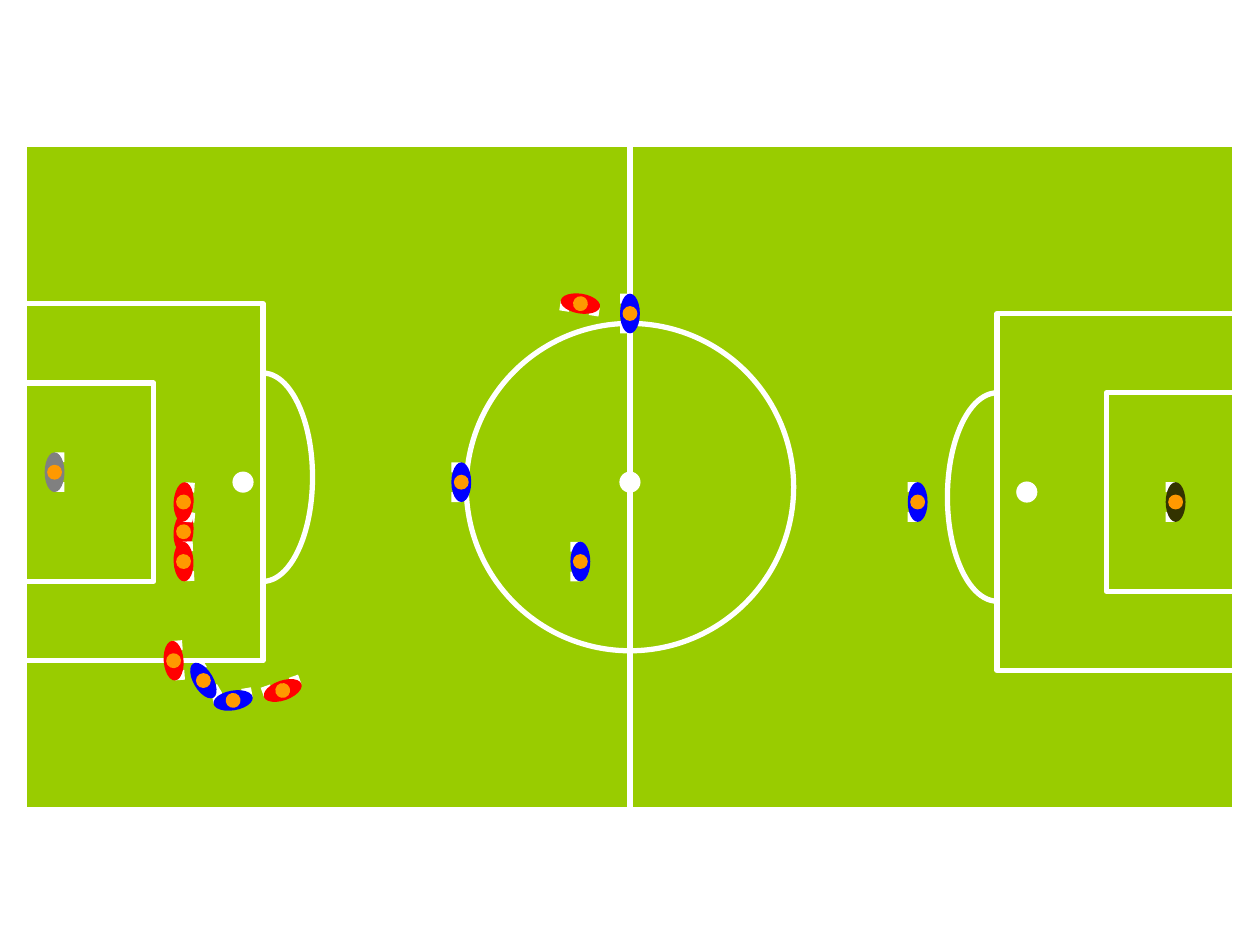
import math
from dataclasses import dataclass

from pptx import Presentation
from pptx.dml.color import RGBColor
from pptx.enum import shapes as kinds
from pptx.oxml import parse_xml
from pptx.oxml.ns import nsdecls
from pptx.util import Cm, Pt

KIND = kinds.MSO_SHAPE


@dataclass(frozen=True)
class Theme:
    grass: str = "99CC00"
    chalk: str = "FFFFFF"
    blue: str = "0000FF"
    red: str = "FF0000"
    home_keeper: str = "808080"
    away_keeper: str = "333300"
    skin: str = "FF9900"
    marking: float = 3
    halfway: float = 4
    spot_edge: float = 0.75


THEME = Theme()

# Pitch box, and all positions on the pitch, in cm
PITCH = (0.5, 2.92, 24.4, 13.4)
SPOTS = [(20.2, 7.0), (4.4, 6.8), (12.2, 6.8)]
# Shirt colour, centre x and y, rotation in degrees
PLAYERS = [
    (THEME.blue, 18.0, 7.2, 270),
    (THEME.red, 11.2, 3.2, 189),
    (THEME.home_keeper, 0.6, 6.6, 90),
    (THEME.away_keeper, 23.2, 7.2, 270),
    (THEME.blue, 8.8, 6.8, 270),
    (THEME.blue, 4.2, 11.2, 350.4),
    (THEME.blue, 12.2, 3.4, 270),
    (THEME.blue, 3.6, 10.8, 59.5),
    (THEME.blue, 11.2, 8.4, 270),
    (THEME.red, 5.2, 11.0, 340.6),
    (THEME.red, 3.0, 10.4, 85.7),
    (THEME.red, 3.2, 7.8, 95.2),
    (THEME.red, 3.2, 8.4, 87.5),
    (THEME.red, 3.2, 7.2, 93.9),
]


def add_part(parent, kind, box, fill=None, line=None, rotation=0):
    """Add a flat shape; line is the width of a white outline in points."""
    part = parent.shapes.add_shape(kind, *(Cm(length) for length in box))
    part.shadow.inherit = False
    part.rotation = rotation
    if fill:
        part.fill.solid()
        part.fill.fore_color.rgb = RGBColor.from_string(fill)
    else:
        part.fill.background()
    if line:
        chalk_line(part, line)
    else:
        part.line.fill.background()
    return part


def chalk_line(part, width):
    part.line.color.rgb = RGBColor.from_string(THEME.chalk)
    part.line.width = Pt(width)


def centred(x, y, width, height):
    return x - width / 2, y - height / 2, width, height


def draw_pitch(slide, box):
    left, top, width, height = box
    grass = add_part(slide, KIND.RECTANGLE, box, THEME.grass, THEME.marking)

    # Halfway line
    middle = Cm(left + width / 2)
    halfway = slide.shapes.add_connector(
        kinds.MSO_CONNECTOR.STRAIGHT, middle, Cm(top), middle, Cm(top + height))
    halfway.begin_connect(grass, 0)
    halfway.end_connect(grass, 2)
    chalk_line(halfway, THEME.halfway)
    halfway._element.spPr.append(parse_xml(f"<a:effectLst {nsdecls('a')}/>"))

    # Centre circle
    circle = centred(left + width / 2, top + 6.9, 6.6, 6.6)
    add_part(slide, KIND.OVAL, circle, line=THEME.marking)


def draw_penalty_area(slide, box, rotation):
    """Draw one end; rotation is 0 for the right goal and 180 for the left."""
    left, top, width, height = box
    area = slide.shapes.add_group_shape()

    def place(kind, x, y, w, h):
        if rotation:
            x, y = width - x - w, height - y - h
        return add_part(area, kind, (left + x, top + y, w, h),
                        line=THEME.marking, rotation=rotation)

    place(KIND.RECTANGLE, 0, 0, width, height)
    place(KIND.RECTANGLE, width - 2.6, (height - 4) / 2, 2.6, 4)
    arc = place(KIND.ARC, -1, 1.6, 2, 4.2)
    # Angles of 90 and 270 degrees, at 0.6 per degree
    arc.adjustments[0], arc.adjustments[1] = 54, 162


def draw_player(slide, x, y, shirt, rotation):
    player = slide.shapes.add_group_shape()
    turn = math.radians(rotation)

    # Feet, in front of both shoulders
    for side, front in ((-0.3, -0.1), (0.3, -0.1)):
        foot_x = x + side * math.cos(turn) - front * math.sin(turn)
        foot_y = y + side * math.sin(turn) + front * math.cos(turn)
        add_part(player, KIND.RECTANGLE, centred(foot_x, foot_y, 0.2, 0.2),
                 THEME.chalk, rotation=rotation)

    # Shoulders and head
    for size, colour in (((0.8, 0.4), shirt), ((0.3, 0.3), THEME.skin)):
        add_part(player, KIND.OVAL, centred(x, y, *size), colour,
                 rotation=rotation)


def main():
    deck = Presentation()
    deck.slide_width, deck.slide_height = Cm(25.4), Cm(19.05)
    slide = deck.slides.add_slide(deck.slide_layouts[6])
    left, top, width, _ = PITCH

    draw_pitch(slide, PITCH)
    draw_penalty_area(slide, (left + width - 4.8, top + 3.4, 4.8, 7.2), 0)
    draw_penalty_area(slide, (left, top + 3.2, 4.8, 7.2), 180)
    for shirt, x, y, rotation in PLAYERS:
        draw_player(slide, left + x, top + y, shirt, rotation)
    for x, y in SPOTS:
        add_part(slide, KIND.OVAL, centred(left + x, top + y, 0.4, 0.4),
                 THEME.chalk, THEME.spot_edge)

    deck.save("out.pptx")


if __name__ == "__main__":
    main()
